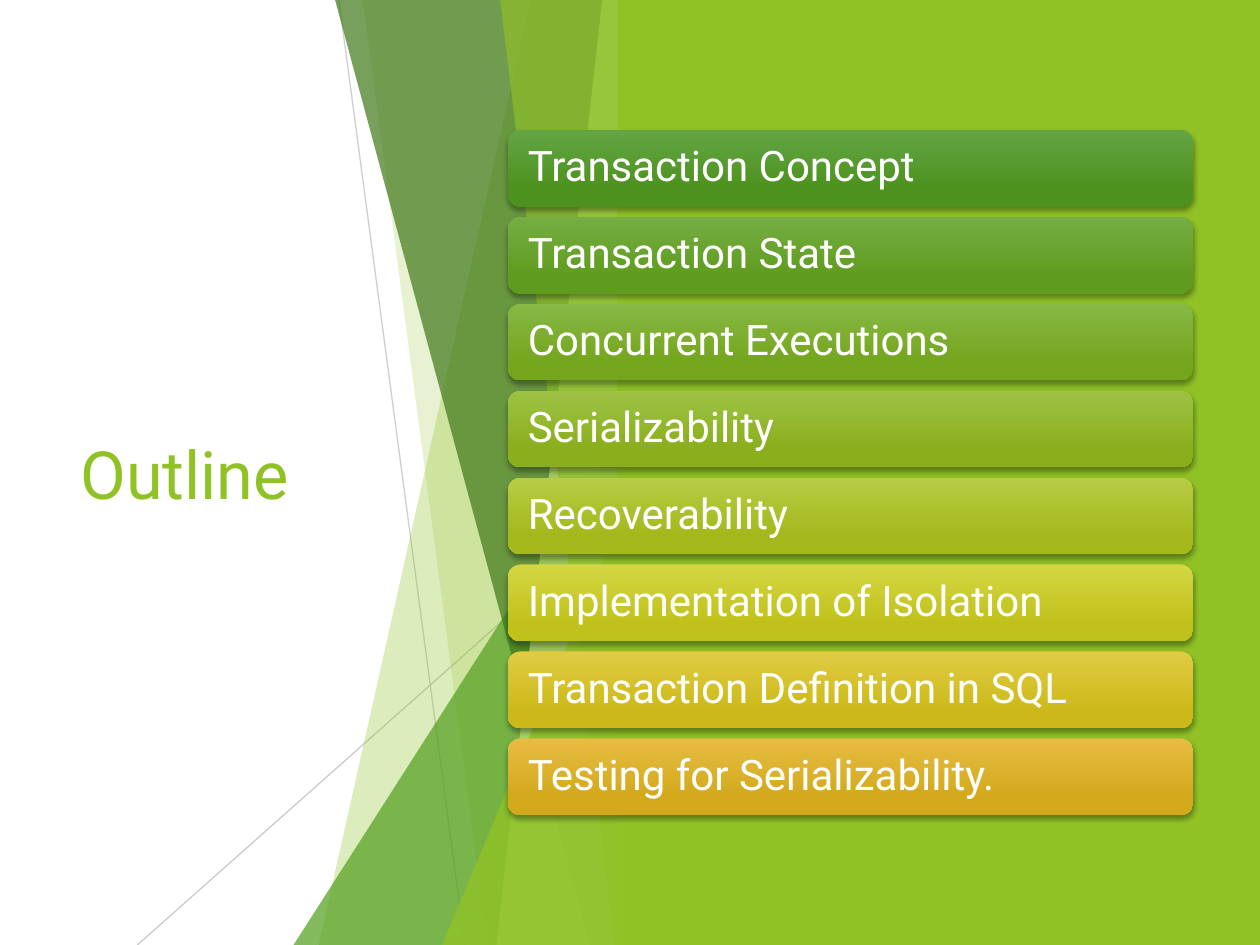
from lxml import etree
from pptx import Presentation
from pptx import util as u
from pptx.dml.color import RGBColor
from pptx.enum import shapes, text
from pptx.oxml import ns

WIDTH, HEIGHT = u.Inches(10), u.Inches(7.5)
FONT = "Roboto"

WHITE = RGBColor(0xFF, 0xFF, 0xFF)
BLACK = RGBColor(0x00, 0x00, 0x00)
GRAY = RGBColor(0xBF, 0xBF, 0xBF)
LIME = RGBColor(0x90, 0xC2, 0x26)
PALE_LIME = RGBColor(0xC0, 0xE4, 0x74)
GREEN = RGBColor(0x54, 0xA0, 0x21)
DARK_GREEN = RGBColor(0x3F, 0x78, 0x19)

FACET_RIGHT = 50
BAR_LEFT, BAR_TOP, BAR_WIDTH, BAR_HEIGHT, BAR_PITCH = 40.3, 13.73, 54.4, 8.13, 9.2

TOPICS = [
    ("Transaction Concept", RGBColor(0x63, 0xA5, 0x45), RGBColor(0x4D, 0x92, 0x1E)),
    ("Transaction State", RGBColor(0x74, 0xAE, 0x44), RGBColor(0x5F, 0x9C, 0x1E)),
    ("Concurrent Executions", RGBColor(0x87, 0xB8, 0x44), RGBColor(0x74, 0xA5, 0x1D)),
    ("Serializability", RGBColor(0x9D, 0xC2, 0x44), RGBColor(0x8B, 0xAE, 0x1D)),
    ("Recoverability", RGBColor(0xB7, 0xCC, 0x44), RGBColor(0xA4, 0xB8, 0x1C)),
    ("Implementation of Isolation", RGBColor(0xD4, 0xD6, 0x43), RGBColor(0xC0, 0xC2, 0x1B)),
    ("Transaction Definition in SQL", RGBColor(0xE0, 0xCC, 0x43), RGBColor(0xCC, 0xB9, 0x19)),
    ("Testing for Serializability.", RGBColor(0xE7, 0xBC, 0x43), RGBColor(0xD2, 0xA9, 0x1B)),
]


def across(percent):
    return u.Emu(round(WIDTH * percent / 100))


def down(percent):
    return u.Emu(round(HEIGHT * percent / 100))


def area(left, top, width, height):
    return across(left), down(top), across(width), down(height)


def set_opacity(element, percent):
    color = element.find(".//" + ns.qn("a:srgbClr"))
    etree.SubElement(color, ns.qn("a:alpha"), val=str(percent * 1000))


def paint(shape, color, opacity=100):
    shape.shadow.inherit = False
    shape.line.fill.background()
    shape.fill.solid()
    shape.fill.fore_color.rgb = color
    if opacity < 100:
        set_opacity(shape.fill._xPr, opacity)


def add_ray(page, start, end, opacity):
    ray = page.shapes.add_connector(
        shapes.MSO_CONNECTOR.STRAIGHT,
        across(start[0]), down(start[1]), across(end[0]), down(end[1]),
    )
    ray.line.color.rgb = GRAY
    ray.line.width = u.Pt(0.75)
    set_opacity(ray.line._ln, opacity)
    etree.SubElement(ray._element.spPr, ns.qn("a:effectLst"))


def add_facet(page, top_left, bottom_left, color, opacity):
    builder = page.shapes.build_freeform(across(top_left), 0)
    corners = [(FACET_RIGHT, 0), (FACET_RIGHT, 100), (bottom_left, 100)]
    builder.add_line_segments([(across(x), down(y)) for x, y in corners], close=True)
    paint(builder.convert_to_shape(), color, opacity)


def add_wedge(page, left, top, color, opacity):
    wedge = page.shapes.add_shape(
        shapes.MSO_SHAPE.ISOSCELES_TRIANGLE,
        *area(left, top, FACET_RIGHT - left, 100 - top),
    )
    wedge.adjustments[0] = 1
    paint(wedge, color, opacity)


def write(shape, words, size, color, inset=0.1, spacing=1.0):
    frame = shape.text_frame
    frame.word_wrap = True
    frame.vertical_anchor = text.MSO_ANCHOR.MIDDLE
    frame.margin_left = frame.margin_right = u.Inches(inset)
    para = frame.paragraphs[0]
    para.alignment = text.PP_ALIGN.LEFT
    para.line_spacing = spacing
    span = para.add_run()
    span.text = words
    span.font.name = FONT
    span.font.size = u.Pt(size)
    span.font.color.rgb = color


def add_drop_shadow(shape):
    effects = shape._element.spPr.find(ns.qn("a:effectLst"))
    shadow = etree.SubElement(
        effects, ns.qn("a:outerShdw"),
        blurRad=str(u.Pt(3)), dist=str(u.Pt(2)), dir="5400000", rotWithShape="0",
    )
    etree.SubElement(shadow, ns.qn("a:srgbClr"), val=str(BLACK))
    set_opacity(shadow, 35)


def add_topic_bar(page, row, words, upper, lower):
    bar = page.shapes.add_shape(
        shapes.MSO_SHAPE.ROUNDED_RECTANGLE,
        *area(BAR_LEFT, BAR_TOP + row * BAR_PITCH, BAR_WIDTH, BAR_HEIGHT),
    )
    bar.shadow.inherit = False
    bar.line.fill.background()
    bar.fill.gradient()
    bar.fill.gradient_angle = 270
    for stop, position, color in zip(bar.fill.gradient_stops, (0, 0.78), (upper, lower)):
        stop.position = position
        stop.color.rgb = color
    add_drop_shadow(bar)
    write(bar, words, size=24, color=WHITE, inset=0.13, spacing=0.9)


def main():
    deck = Presentation()
    deck.slide_width, deck.slide_height = WIDTH, HEIGHT
    page = deck.slides.add_slide(deck.slide_layouts[6])

    title = page.shapes.add_textbox(*area(5.4, 20.13, 29.1, 59.73))
    write(title, "Outline", size=38, color=LIME)

    add_ray(page, (26.9, 0), (36.9, 100), opacity=75)
    add_ray(page, (50, 53.73), (10.9, 100), opacity=80)
    add_facet(page, 42.1, 25.3, LIME, opacity=30)
    add_facet(page, 28.8, 38.7, LIME, opacity=20)
    add_wedge(page, 23.3, 44.4, GREEN, opacity=72)
    add_facet(page, 26.6, 46.8, DARK_GREEN, opacity=70)
    add_facet(page, 47.8, 39.4, PALE_LIME, opacity=70)
    add_facet(page, 39.7, 48.8, LIME, opacity=65)
    add_wedge(page, 35.1, 52.4, LIME, opacity=80)

    panel = page.shapes.add_shape(shapes.MSO_SHAPE.RECTANGLE, *area(49, 0, 51, 100))
    paint(panel, LIME)

    for row, (words, upper, lower) in enumerate(TOPICS):
        add_topic_bar(page, row, words, upper, lower)

    deck.save("out.pptx")


if __name__ == "__main__":
    main()
